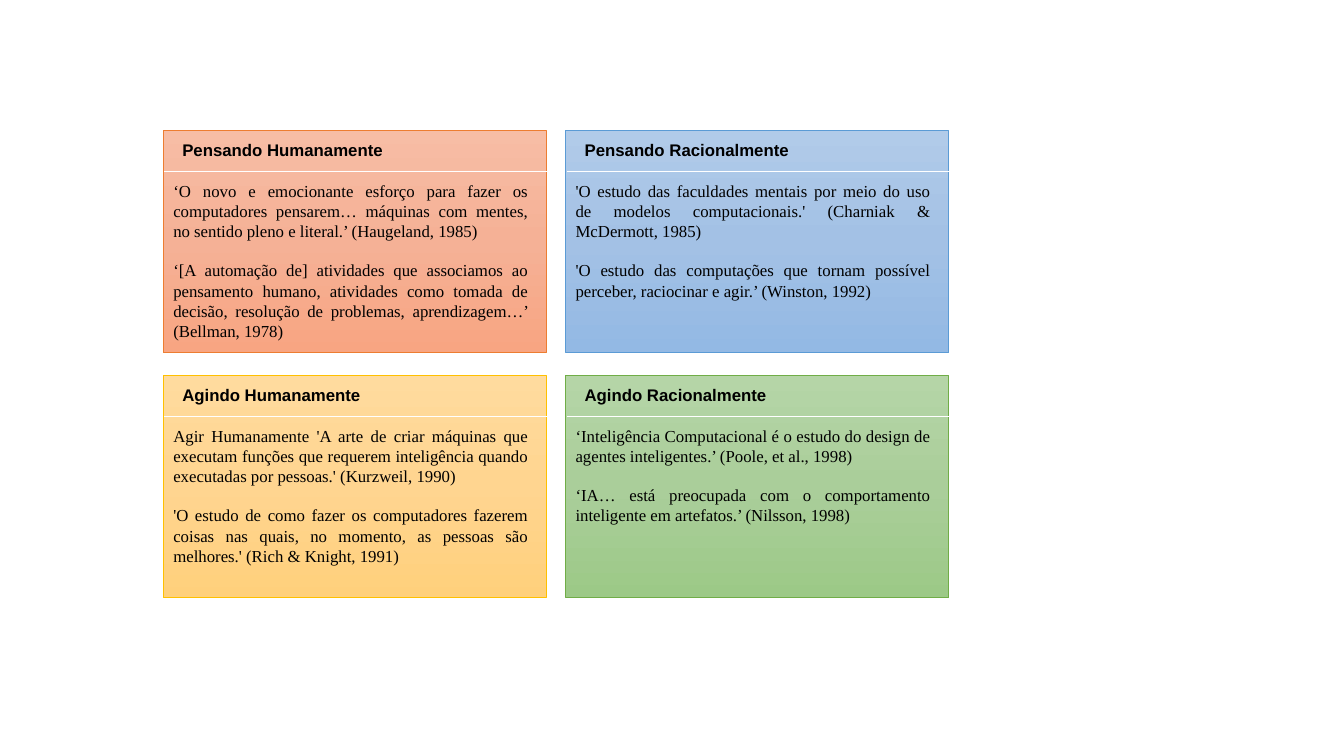
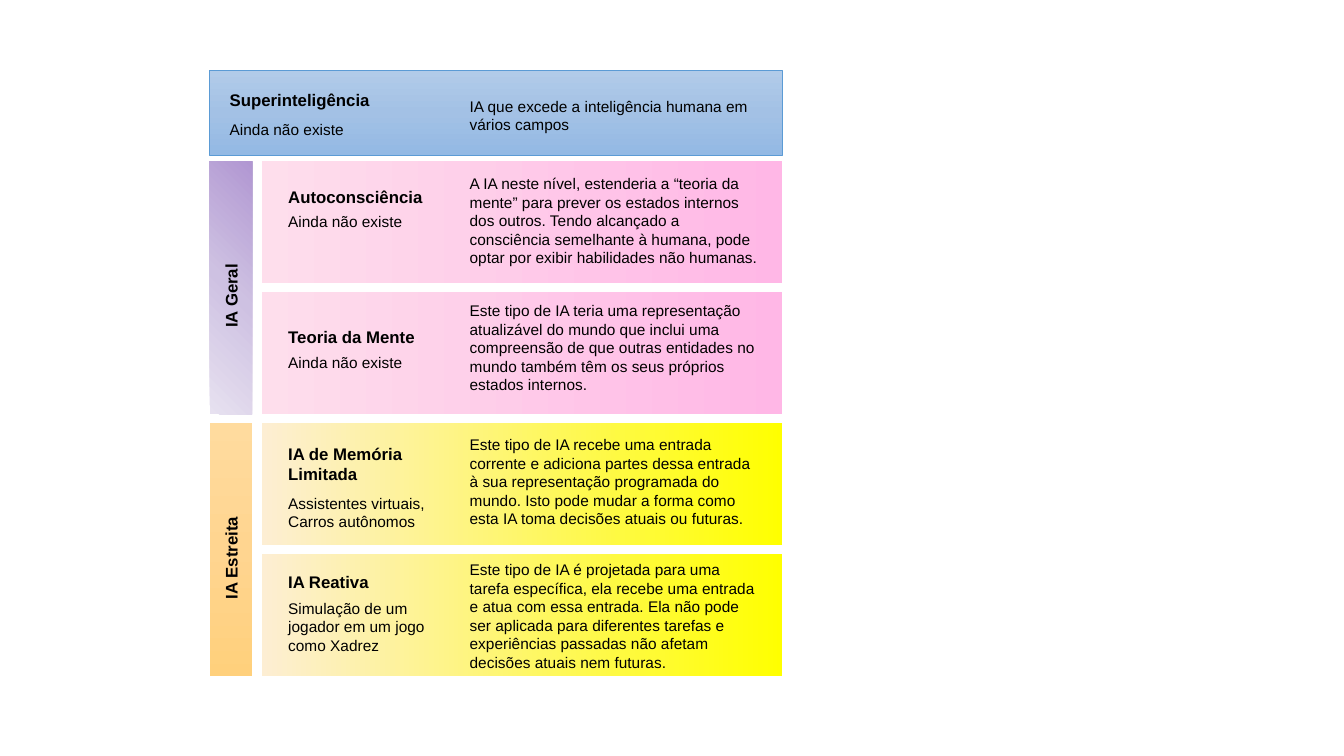
"""Build two slides on definitions of artificial intelligence and its levels."""
from dataclasses import dataclass

import pptx
import pptx.dml.color
import pptx.enum.shapes
import pptx.enum.text
import pptx.oxml.ns
import pptx.util
from lxml import etree

Inches = pptx.util.Inches
Pt = pptx.util.Pt
Align = pptx.enum.text.PP_ALIGN


@dataclass(frozen=True)
class Paint:
    """Gradient colours, direction in degrees (None for radial) and outline."""
    stops: tuple
    angle: int | None = 90
    outline: str | None = None


class Theme:
    """Colours, fonts and sizes shared by both slides."""
    sans, serif = "Arial", "Times New Roman"
    heading_size, quote_size, note_size = 12, 12, 11
    line_width, quote_gap = 0.5, 13.8
    ink, rule = "000000", "FFFFFF"
    orange = Paint(("F7BDA5", "F5B196", "F8A582"), outline="ED7D31")
    blue = Paint(("B1CBE9", "A3C1E5", "93B9E4"), outline="5B9BD5")
    gold = Paint(("FFDB9E", "FFD590", "FFD07C"), outline="FFC000")
    green = Paint(("B5D5A7", "AACE9A", "9CC987"), outline="70AD47")
    amber = Paint(gold.stops)
    purple = Paint(("B197D2", "CEC1E2", "E7E1F0"), angle=None)
    pink = Paint(("FEDEEC", "FFB7E6"), angle=0)
    yellow = Paint(("FDEED3", "FFFF00"), angle=0)


@dataclass(frozen=True)
class Level:
    """One level of AI, with text tops measured from the top of its row."""
    name: str
    notes: tuple
    meaning: str
    paint: Paint
    name_top: float
    note_top: float
    meaning_top: float


CARD_LEFT, CARD_TOP, CARD_WIDTH, CARD_HEIGHT = 1.62, 1.29, 3.8, 2.21
CARD_STEP_X, CARD_STEP_Y = 3.99, 2.43
CARDS = (
    ("Pensando Humanamente", Theme.orange, (
        "‘O novo e emocionante esforço para fazer os computadores pensarem… máquinas com "
        "mentes, no sentido pleno e literal.’ (Haugeland, 1985)",
        "‘[A automação de] atividades que associamos ao pensamento humano, atividades como "
        "tomada de decisão, resolução de problemas, aprendizagem…’ (Bellman, 1978)")),
    ("Pensando Racionalmente", Theme.blue, (
        "'O estudo das faculdades mentais por meio do uso de modelos computacionais.' "
        "(Charniak & McDermott, 1985)",
        "'O estudo das computações que tornam possível perceber, raciocinar e agir.’ "
        "(Winston, 1992)")),
    ("Agindo Humanamente", Theme.gold, (
        "Agir Humanamente 'A arte de criar máquinas que executam funções que requerem "
        "inteligência quando executadas por pessoas.' (Kurzweil, 1990)",
        "'O estudo de como fazer os computadores fazerem coisas nas quais, no momento, "
        "as pessoas são melhores.' (Rich & Knight, 1991)")),
    ("Agindo Racionalmente", Theme.green, (
        "‘Inteligência Computacional é o estudo do design de agentes inteligentes.’ "
        "(Poole, et al., 1998)",
        "‘IA… está preocupada com o comportamento inteligente em artefatos.’ "
        "(Nilsson, 1998)")),
)

STACK_LEFT, STACK_RIGHT, BANNER_TOP, BANNER_HEIGHT = 2.08, 7.76, 0.7, 0.84
ROW_LEFT, ROW_TOP, ROW_HEIGHT, ROW_STEP = 2.6, 1.6, 1.21, 1.3
BAR_WIDTH, MEANING_LEFT, MEANING_WIDTH, NAME_WIDTH = 0.42, 4.56, 3.11, 1.75
MISSING = ("Ainda não existe",)
SUPERINTELLIGENCE = Level(
    "Superinteligência", MISSING, "IA que excede a inteligência humana em vários campos",
    Theme.blue, 0.14, 0.44, 0.21)
LEVELS = (
    Level("Autoconsciência", MISSING,
          "A IA neste nível, estenderia a “teoria da mente” para prever os estados internos "
          "dos outros. Tendo alcançado a consciência semelhante à humana, pode optar por "
          "exibir habilidades não humanas.", Theme.pink, 0.2, 0.46, 0.08),
    Level("Teoria da Mente", MISSING,
          "Este tipo de IA teria uma representação atualizável do mundo que inclui uma "
          "compreensão de que outras entidades no mundo também têm os seus próprios estados "
          "internos.", Theme.pink, 0.29, 0.55, 0.04),
    Level("IA de Memória Limitada", ("Assistentes virtuais,", "Carros autônomos"),
          "Este tipo de IA recebe uma entrada corrente e adiciona partes dessa entrada à sua "
          "representação programada do mundo. Isto pode mudar a forma como esta IA toma "
          "decisões atuais ou futuras.", Theme.yellow, 0.15, 0.65, 0.07),
    Level("IA Reativa", ("Simulação de um jogador em um jogo como Xadrez",),
          "Este tipo de IA é projetada para uma tarefa específica, ela recebe uma entrada e "
          "atua com essa entrada. Ela não pode ser aplicada para diferentes tarefas e "
          "experiências passadas não afetam decisões atuais nem futuras.",
          Theme.yellow, 0.12, 0.39, 0.01),
)
GROUPS = (("IA Geral", Theme.purple), ("IA Estreita", Theme.amber))


def color(code):
    """Return an RGB colour from its hexadecimal code."""
    return pptx.dml.color.RGBColor.from_string(code)


def add_node(parent, tag, **attributes):
    """Append a drawing element to its parent."""
    return etree.SubElement(parent, pptx.oxml.ns.qn(tag), attributes)


def fill_gradient(shape, paint):
    """Fill a shape with evenly spaced gradient stops."""
    shape.fill.gradient()
    gradient = shape.element.spPr.find(pptx.oxml.ns.qn("a:gradFill"))
    for child in list(gradient):
        gradient.remove(child)
    stop_list = add_node(gradient, "a:gsLst")
    for index, code in enumerate(paint.stops):
        position = index * 100000 // (len(paint.stops) - 1)
        stop = add_node(stop_list, "a:gs", pos=str(position))
        add_node(stop, "a:srgbClr", val=code)
    if paint.angle is None:
        radial = add_node(gradient, "a:path", path="circle")
        add_node(radial, "a:fillToRect", l="100000", b="100000")
    else:
        add_node(gradient, "a:lin", ang=str(paint.angle * 60000), scaled="0")


def add_panel(page, left, top, width, height, paint):
    """Draw a gradient rectangle, outlined when its paint says so."""
    panel = page.shapes.add_shape(
        pptx.enum.shapes.MSO_SHAPE.RECTANGLE,
        Inches(left), Inches(top), Inches(width), Inches(height))
    panel.shadow.inherit = False
    fill_gradient(panel, paint)
    if paint.outline:
        panel.line.color.rgb = color(paint.outline)
        panel.line.width = Pt(Theme.line_width)
    else:
        panel.line.fill.background()


def add_rule(page, left, top, width):
    """Draw a thin horizontal rule."""
    rule = page.shapes.add_connector(
        pptx.enum.shapes.MSO_CONNECTOR.STRAIGHT,
        Inches(left), Inches(top), Inches(left + width), Inches(top))
    rule.line.color.rgb = color(Theme.rule)
    rule.line.width = Pt(Theme.line_width)
    add_node(rule.element.spPr, "a:effectLst")


def add_text(page, left, top, width, height, lines, size=Theme.note_size, font=Theme.sans,
             bold=False, align=Align.LEFT, gap=0):
    """Write paragraphs in a wrapping text box and return the box."""
    box = page.shapes.add_textbox(Inches(left), Inches(top), Inches(width), Inches(height))
    frame = box.text_frame
    frame.word_wrap = True
    for index, line in enumerate(lines):
        para = frame.paragraphs[0] if index == 0 else frame.add_paragraph()
        para.text = line
        para.alignment = align
        para.space_before = Pt(gap if index else 0)
        para.font.name = font
        para.font.size = Pt(size)
        para.font.bold = bold
        para.font.color.rgb = color(Theme.ink)
    return box


def add_heading(page, left, top, width, words, align=Align.LEFT):
    """Write a bold heading."""
    return add_text(page, left, top, width, 0.3, (words,), Theme.heading_size,
                    bold=True, align=align)


def add_card(page, left, top, heading, paint, quotes):
    """Draw a card with a heading, a rule and justified quotes."""
    add_panel(page, left, top, CARD_WIDTH, CARD_HEIGHT, paint)
    add_rule(page, left + 0.01, top + 0.41, CARD_WIDTH + 0.01)
    add_heading(page, left + 0.09, top + 0.05, CARD_WIDTH - 0.2, heading)
    add_text(page, left, top + 0.45, 3.72, 1.72, quotes, Theme.quote_size, Theme.serif,
             align=Align.JUSTIFY, gap=Theme.quote_gap)


def add_level(page, left, top, height, indent, level):
    """Draw one row with a level's name, notes and meaning."""
    add_panel(page, left, top, STACK_RIGHT - left, height, level.paint)
    add_heading(page, left + indent, top + level.name_top, NAME_WIDTH, level.name)
    add_text(page, left + indent, top + level.note_top, NAME_WIDTH, 0.3, level.notes)
    add_text(page, MEANING_LEFT, top + level.meaning_top, MEANING_WIDTH, 0.47,
             (level.meaning,))


def add_group(page, top, name, paint):
    """Draw a side bar spanning two rows, with its name turned upwards."""
    height = ROW_STEP + ROW_HEIGHT
    add_panel(page, STACK_LEFT, top, BAR_WIDTH, height, paint)
    center_x, center_y = STACK_LEFT + BAR_WIDTH / 2, top + height / 2 + 0.08
    label = add_heading(page, center_x - height / 2, center_y - 0.15, height, name,
                        Align.CENTER)
    label.rotation = 270


def build_definitions(page):
    """Lay the four definition cards out in two columns."""
    for index, card in enumerate(CARDS):
        row, column = divmod(index, 2)
        add_card(page, CARD_LEFT + column * CARD_STEP_X, CARD_TOP + row * CARD_STEP_Y, *card)


def build_levels(page):
    """Stack the AI levels under the superintelligence banner."""
    add_level(page, STACK_LEFT, BANNER_TOP, BANNER_HEIGHT, 0.1, SUPERINTELLIGENCE)
    for index, (name, paint) in enumerate(GROUPS):
        add_group(page, ROW_TOP + index * 2 * ROW_STEP, name, paint)
    for index, level in enumerate(LEVELS):
        add_level(page, ROW_LEFT, ROW_TOP + index * ROW_STEP, ROW_HEIGHT, 0.16, level)


def main():
    """Build and save the deck."""
    deck = pptx.Presentation()
    deck.slide_width, deck.slide_height = Inches(13.33), Inches(7.5)
    for build in (build_definitions, build_levels):
        build(deck.slides.add_slide(deck.slide_layouts[6]))
    deck.save("out.pptx")


if __name__ == "__main__":
    main()
